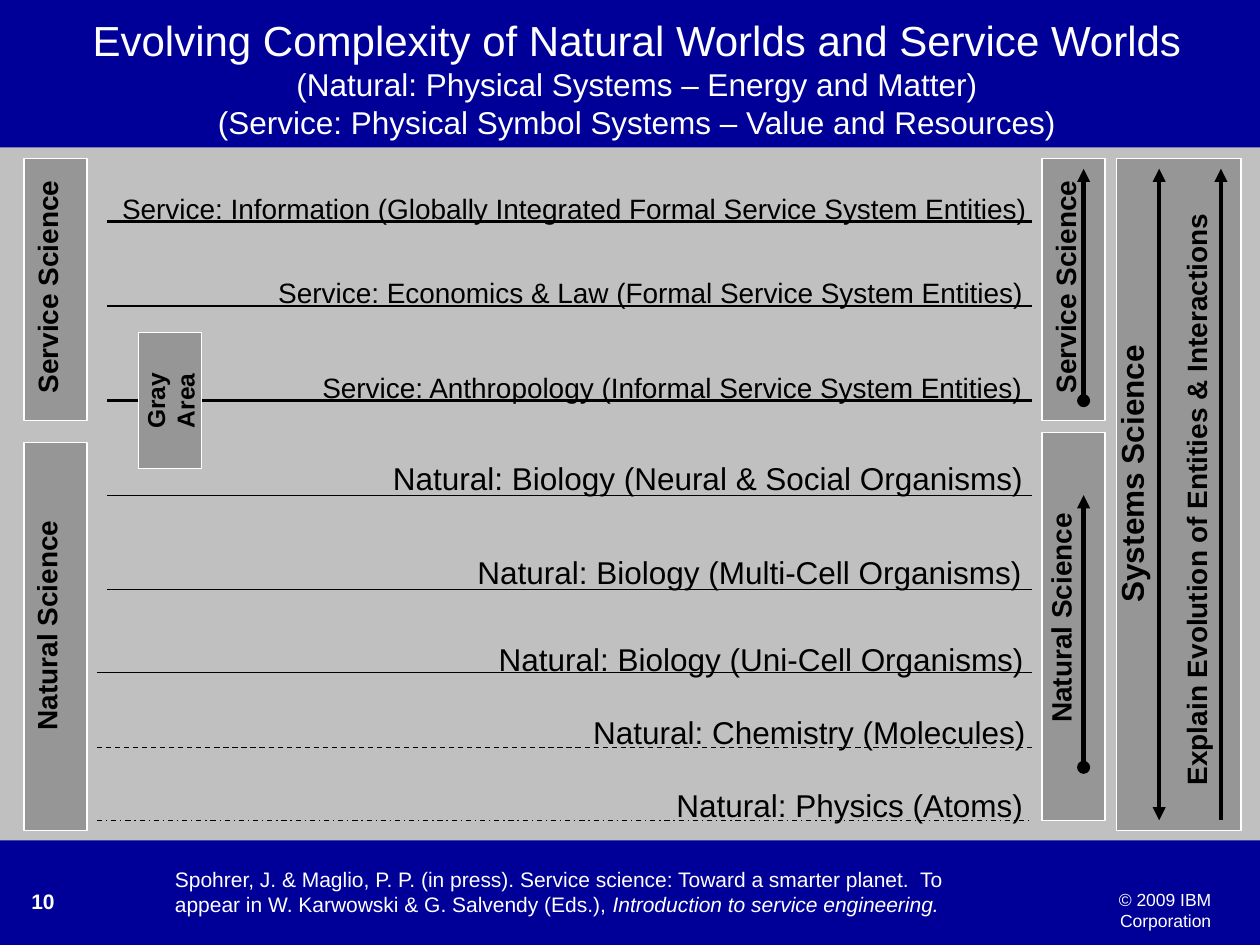
from dataclasses import dataclass
from typing import NamedTuple, Optional

from lxml import etree
from pptx import Presentation
from pptx.dml.color import RGBColor
from pptx.enum import dml, shapes, text
from pptx.oxml import ns
from pptx.util import Inches, Pt


@dataclass(frozen=True)
class Theme:
    font: str = "Arial"
    navy: str = "000099"
    backdrop: str = "C0C0C0"
    panel: str = "969696"
    light: str = "FFFFFF"
    dark: str = "000000"
    title: int = 24
    large: int = 18
    medium: int = 16
    gray_area: int = 14
    footer: int = 12
    copyright: int = 10
    thin: float = 0.75
    bold: float = 1.5
    arrow: float = 2.5


class Box(NamedTuple):
    left: float
    top: float
    width: float
    height: float


class Level(NamedTuple):
    label: str
    label_box: Box
    line_left: float
    line_y: float
    size: int
    weight: float
    dash: Optional[dml.MSO_LINE] = None


class SideLabel(NamedTuple):
    label: str
    box: Box
    size: int


class Arrow(NamedTuple):
    x: float
    bottom: float
    top: float
    start: Optional[str]


THEME = Theme()
LEVEL_RIGHT = 8.19
ARROW_TOP, ARROW_BOTTOM = 1.34, 6.51
INFORMAL_Y, NEURAL_Y = 3.18, 3.93

LEVELS = [
    Level("Service: Information (Globally Integrated Formal Service System Entities)",
          Box(0.87, 1.47, 7.38, 0.37), 0.85, 1.76, THEME.medium, THEME.bold),
    Level("Service: Economics & Law (Formal Service System Entities)",
          Box(2.11, 2.14, 6.11, 0.37), 0.85, 2.43, THEME.medium, THEME.bold),
    Level("Service: Anthropology (Informal Service System Entities)",
          Box(2.46, 2.89, 5.77, 0.37), 0.85, INFORMAL_Y, THEME.medium, THEME.bold),
    Level("Natural: Biology (Neural & Social Organisms)",
          Box(3.02, 3.59, 5.2, 0.4), 0.85, NEURAL_Y, THEME.large, THEME.thin),
    Level("Natural: Biology (Multi-Cell Organisms)",
          Box(3.69, 4.34, 4.52, 0.4), 0.85, 4.68, THEME.large, THEME.thin),
    Level("Natural: Biology (Uni-Cell Organisms)",
          Box(3.86, 5.03, 4.37, 0.4), 0.77, 5.34, THEME.large, THEME.thin),
    Level("Natural: Chemistry (Molecules)", Box(4.61, 5.61, 3.63, 0.4),
          0.77, 5.93, THEME.large, THEME.thin, dml.MSO_LINE.DASH),
    Level("Natural: Physics (Atoms)", Box(5.27, 6.19, 2.95, 0.4),
          0.77, 6.51, THEME.large, THEME.thin, dml.MSO_LINE.DASH_DOT),
]

PANELS = [
    Box(8.86, 1.26, 0.99, 5.33),
    Box(0.19, 1.26, 0.5, 2.08),
    Box(8.27, 1.26, 0.5, 2.08),
    Box(0.19, 3.51, 0.5, 3.08),
    Box(8.27, 3.43, 0.5, 3.08),
]

SIDE_LABELS = [
    SideLabel("Systems Science", Box(7.86, 3.56, 2.24, 0.4), THEME.large),
    SideLabel("Explain Evolution of Entities & Interactions",
              Box(7.13, 3.78, 4.73, 0.37), THEME.medium),
    SideLabel("Service Science", Box(-0.57, 2.09, 1.89, 0.37), THEME.medium),
    SideLabel("Service Science", Box(7.51, 2.09, 1.89, 0.37), THEME.medium),
    SideLabel("Natural Science", Box(-0.56, 4.78, 1.86, 0.37), THEME.medium),
    SideLabel("Natural Science", Box(7.49, 4.72, 1.86, 0.37), THEME.medium),
]

ARROWS = [
    Arrow(9.69, ARROW_BOTTOM, ARROW_TOP, None),
    Arrow(9.2, ARROW_BOTTOM, ARROW_TOP, "triangle"),
    Arrow(8.6, INFORMAL_Y, ARROW_TOP, "oval"),
    Arrow(8.6, 6.09, NEURAL_Y, "oval"),
]


def rgb(value: str) -> RGBColor:
    return RGBColor.from_string(value)


def add_rect(slide, box: Box, fill: str, outline: Optional[str] = None):
    rect = slide.shapes.add_shape(shapes.MSO_SHAPE.RECTANGLE, *map(Inches, box))
    rect.shadow.inherit = False
    rect.fill.solid()
    rect.fill.fore_color.rgb = rgb(fill)
    if outline:
        rect.line.color.rgb = rgb(outline)
        rect.line.width = Pt(THEME.thin)
    else:
        rect.line.fill.background()
    return rect


def write(frame, content: str, *, size: int, color: str = THEME.dark, bold: bool = False,
          italic: bool = False, align=text.PP_ALIGN.LEFT, new: bool = False):
    """Add a run to the last paragraph of the frame, or to a new one."""
    paragraph = frame.add_paragraph() if new else frame.paragraphs[-1]
    paragraph.alignment = align
    run = paragraph.add_run()
    run.text = content
    run.font.name, run.font.size = THEME.font, Pt(size)
    run.font.bold, run.font.italic = bold, italic
    run.font.color.rgb = rgb(color)


def add_text_frame(slide, box: Box, wrap: bool = False, rotation: int = 0):
    holder = slide.shapes.add_textbox(*map(Inches, box))
    holder.rotation = rotation
    holder.text_frame.word_wrap = wrap
    return holder.text_frame


def add_line(slide, start: tuple[float, float], end: tuple[float, float], weight: float,
             dash=None, head: Optional[str] = None, tail: Optional[str] = None):
    line = slide.shapes.add_connector(
        shapes.MSO_CONNECTOR.STRAIGHT, *map(Inches, (*start, *end)))
    line.line.color.rgb = rgb(THEME.dark)
    line.line.width = Pt(weight)
    if dash is not None:
        line.line.dash_style = dash
    outline = line.line._get_or_add_ln()
    for tag, kind in (("a:headEnd", head), ("a:tailEnd", tail)):
        if kind:
            etree.SubElement(outline, ns.qn(tag), type=kind)
    etree.SubElement(line._element.spPr, ns.qn("a:effectLst"))


def add_level(slide, level: Level):
    add_line(slide, (level.line_left, level.line_y), (LEVEL_RIGHT, level.line_y),
             level.weight, level.dash)
    write(add_text_frame(slide, level.label_box), level.label, size=level.size)


def add_gray_area(slide):
    gray_area = add_rect(slide, Box(0.81, 2.93, 1.08, 0.5), THEME.panel, THEME.light)
    gray_area.rotation = 270
    frame = gray_area.text_frame
    frame.word_wrap = False
    frame.vertical_anchor = text.MSO_ANCHOR.MIDDLE
    for index, word in enumerate(("Gray", "Area")):
        write(frame, word, size=THEME.gray_area, bold=True,
              align=text.PP_ALIGN.CENTER, new=index > 0)


def add_title(slide):
    title = add_text_frame(slide, Box(0.63, 0.07, 8.85, 1.1))
    rows = [
        ("Evolving Complexity of Natural Worlds and Service Worlds", THEME.title),
        ("(Natural: Physical Systems – Energy and Matter)", THEME.large),
        ("(Service: Physical Symbol Systems – Value and Resources)", THEME.large),
    ]
    for index, (row, size) in enumerate(rows):
        write(title, row, size=size, color=THEME.light,
              align=text.PP_ALIGN.CENTER, new=index > 0)


def add_footer(slide):
    write(add_text_frame(slide, Box(8.02, 7.01, 1.69, 0.27), wrap=True),
          "© 2009 IBM Corporation", size=THEME.copyright, color=THEME.light,
          align=text.PP_ALIGN.RIGHT)
    write(add_text_frame(slide, Box(0.15, 7, 1.1, 0.35), wrap=True), "10",
          size=THEME.footer, color=THEME.light, bold=True)
    citation = add_text_frame(slide, Box(1.29, 6.83, 6.86, 0.5), wrap=True)
    write(citation, "Spohrer, J. & Maglio, P. P. (in press). Service science: Toward a smarter "
          "planet.  To appear in W. Karwowski & G. Salvendy (Eds.), ",
          size=THEME.footer, color=THEME.light)
    write(citation, "Introduction to service engineering.",
          size=THEME.footer, color=THEME.light, italic=True)


def main():
    deck = Presentation()
    deck.slide_width, deck.slide_height = Inches(10), Inches(7.5)
    slide = deck.slides.add_slide(deck.slide_layouts[6])
    slide.background.fill.solid()
    slide.background.fill.fore_color.rgb = rgb(THEME.backdrop)

    # Header and footer bands
    for band in (Box(0, 0, 10, 1.17), Box(0, 6.67, 10, 0.83)):
        add_rect(slide, band, THEME.navy)
    add_title(slide)
    add_footer(slide)

    # Levels of complexity
    for level in LEVELS:
        add_level(slide, level)
    add_gray_area(slide)

    # Science panels with their labels and arrows
    for panel in PANELS:
        add_rect(slide, panel, THEME.panel, THEME.light)
    for side in SIDE_LABELS:
        write(add_text_frame(slide, side.box, rotation=270), side.label,
              size=side.size, bold=True)
    for arrow in ARROWS:
        add_line(slide, (arrow.x, arrow.bottom), (arrow.x, arrow.top), THEME.arrow,
                 head=arrow.start, tail="triangle")

    deck.save("out.pptx")


if __name__ == "__main__":
    main()
